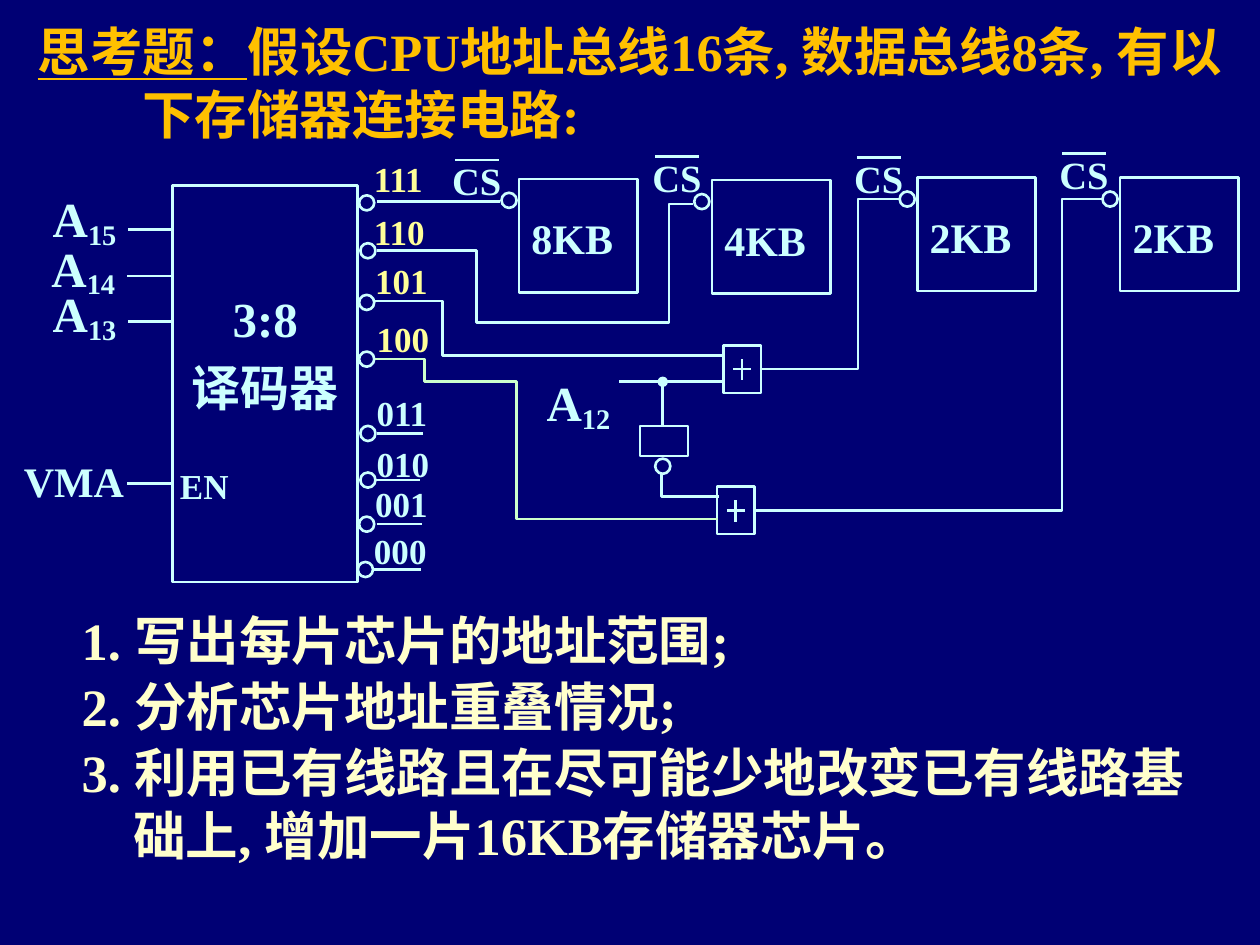
"""Build the memory address decoding exercise slide."""
from lxml import etree
from pptx import Presentation
from pptx.dml.color import RGBColor
from pptx.enum import shapes, text
from pptx.oxml.ns import qn
from pptx.util import Pt

PX = 9144
COLORS = {"back": "000074", "title": "FFC000", "tasks": "FFFFCC",
          "ink": "CCFFFF", "used": "FFFF99", "green": "CCFFCC"}
KINDS = shapes.MSO_SHAPE

deck = Presentation()
deck.slide_width, deck.slide_height = 1000 * PX, 750 * PX
slide = deck.slides.add_slide(deck.slide_layouts[6])
slide.background.fill.solid()
slide.background.fill.fore_color.rgb = RGBColor.from_string(COLORS["back"])


def write(frame, paragraphs, size, color="ink", hang=0):
    """Fill a frame; each paragraph is a list of run texts."""
    frame.word_wrap = True
    frame.vertical_anchor = text.MSO_ANCHOR.TOP
    for i, runs in enumerate(paragraphs):
        line = frame.add_paragraph() if i else frame.paragraphs[0]
        line.alignment = text.PP_ALIGN.LEFT
        line.font.name, line.font.size, line.font.bold = "Times New Roman", Pt(size), True
        line.font.color.rgb = RGBColor.from_string(COLORS[color])
        if hang:
            line._p.get_or_add_pPr().set("marL", str(hang * PX))
            line._p.get_or_add_pPr().set("indent", str(-hang * PX))
        for words in runs:
            line.add_run().text = words
    return frame.paragraphs


def outline(shape, color="ink"):
    """Give a shape or connector a thin line without fill or shadow."""
    shape.line.color.rgb = RGBColor.from_string(COLORS[color])
    shape.line.width = Pt(1.5)
    if shape.shape_type == shapes.MSO_SHAPE_TYPE.LINE:
        etree.SubElement(shape._element.spPr, qn("a:effectLst"))
    else:
        shape.fill.background()
        shape.shadow.inherit = False
    return shape


title = slide.shapes.add_textbox(20 * PX, 10 * PX, 966 * PX, 111 * PX)
heading = write(title.text_frame, [["思考题：", "假设CPU地址总线16条, 数据总线8条, 有以下存储器连接电路:"]],
                30, "title", 83)
heading[0].runs[0].font.underline = True

tasks = slide.shapes.add_textbox(55 * PX, 478 * PX, 913 * PX, 215 * PX)
for task in write(tasks.text_frame, [
        ["1. 写出每片芯片的地址范围;"],
        ["2. 分析芯片地址重叠情况;"],
        ["3. 利用已有线路且在尽可能少地改变已有线路基础上, 增加一片16KB存储器芯片。"]],
        30, "tasks", 41):
    task.space_before = Pt(1.5)

decoder = outline(slide.shapes.add_shape(KINDS.RECTANGLE, 137 * PX, 147 * PX, 147 * PX, 315 * PX))
decoder.text_frame.margin_top = 82 * PX
names = write(decoder.text_frame, [["3:8"], ["译码器"]], 28)
for name in names:
    name.alignment = text.PP_ALIGN.CENTER
names[1].space_before = Pt(6)

for words, x, y, w, h, size in [("VMA", 9, 357, 131, 50, 24), ("EN", 133, 364, 81, 43, 20)]:
    signal = slide.shapes.add_textbox(x * PX, y * PX, w * PX, h * PX)
    write(signal.text_frame, [[words]], size)

for bit, x, y in [("15", 32, 145), ("14", 31, 184), ("13", 32, 220), ("12", 424, 291)]:
    address = slide.shapes.add_textbox(x * PX, y * PX, 78 * PX, 57 * PX)
    parts = write(address.text_frame, [["A", bit]], 28)[0].runs
    parts[1].font._element.set("baseline", "-16000")

for code, x, y, color, pin_x, pin_y in [
        ("111", 287, 120, "used", 285, 155), ("110", 287, 162, "used", 286, 193),
        ("101", 288, 201, "used", 285, 234), ("100", 289, 247, "used", 285, 279),
        ("011", 289, 306, "ink", 286, 338), ("010", 289, 346, "ink", 286, 375),
        ("001", 288, 378, "ink", 285, 410), ("000", 287, 415, "ink", 284, 446)]:
    output = slide.shapes.add_textbox(x * PX, y * PX, 63 * PX, 43 * PX)
    write(output.text_frame, [[code]], 20, color)
    outline(slide.shapes.add_shape(KINDS.OVAL, pin_x * PX, pin_y * PX, 12 * PX, 12 * PX))

for size, x, y, select_x, select_y in [
        ("8KB", 412, 142, 349, 120), ("4KB", 565, 143, 508, 117),
        ("2KB", 728, 141, 668, 118), ("2KB", 889, 141, 831, 115)]:
    chip = outline(slide.shapes.add_shape(KINDS.RECTANGLE, x * PX, y * PX, 94 * PX, 90 * PX))
    chip.text_frame.margin_top = 27 * PX
    write(chip.text_frame, [[size]], 24)
    outline(slide.shapes.add_shape(KINDS.OVAL, (x - 14) * PX, (y + 11) * PX, 12 * PX, 12 * PX))
    select = slide.shapes.add_textbox(select_x * PX, select_y * PX, 75 * PX, 47 * PX)
    write(select.text_frame, [["CS"]], 22)
    bar_y = (select_y + 7) * PX
    outline(slide.shapes.add_connector(shapes.MSO_CONNECTOR.STRAIGHT, (select_x + 12) * PX, bar_y,
                                       (select_x + 47) * PX, bar_y))

inverter = outline(slide.shapes.add_shape(KINDS.RECTANGLE, 515 * PX, 331 * PX, 24 * PX, 38 * PX))
inverter.rotation = 90
outline(slide.shapes.add_shape(KINDS.OVAL, 520 * PX, 364 * PX, 12 * PX, 12 * PX))

lines = [(102, 182, 137, 182), (101, 219, 136, 219), (102, 255, 137, 255), (101, 384, 136, 384),
         (299, 160, 397, 160), (299, 344, 336, 344), (297, 381, 333, 381),
         (299, 416, 335, 416), (297, 452, 334, 452), (574, 303, 491, 303)]
for x, y in [(574, 274), (569, 386)]:
    outline(slide.shapes.add_shape(KINDS.RECTANGLE, x * PX, y * PX, 30 * PX, 38 * PX))
    lines += [(x + 8, y + 19, x + 22, y + 19), (x + 15, y + 11, x + 15, y + 28)]
lines.append((526, 303, 526, 339))
for ends in lines:
    wire = outline(slide.shapes.add_connector(shapes.MSO_CONNECTOR.STRAIGHT,
                                              *[end * PX for end in ends]))
etree.SubElement(wire.line._get_or_add_ln(), qn("a:headEnd"), type="oval")

for color, start, *bends in [
        ("ink", (299, 199), (378, 199), (378, 256), (531, 256), (531, 162), (550, 162)),
        ("ink", (297, 239), (351, 239), (351, 282), (574, 282)),
        ("ink", (603, 293), (681, 293), (681, 158), (715, 158)),
        ("ink", (525, 375), (525, 394), (571, 394)),
        ("ink", (600, 405), (843, 405), (843, 158), (876, 158)),
        ("green", (298, 285), (337, 285), (337, 303), (410, 303), (410, 412), (570, 412))]:
    route = slide.shapes.build_freeform(*start, scale=PX)
    route.add_line_segments(bends, close=False)
    outline(route.convert_to_shape(), color)

deck.save("out.pptx")
